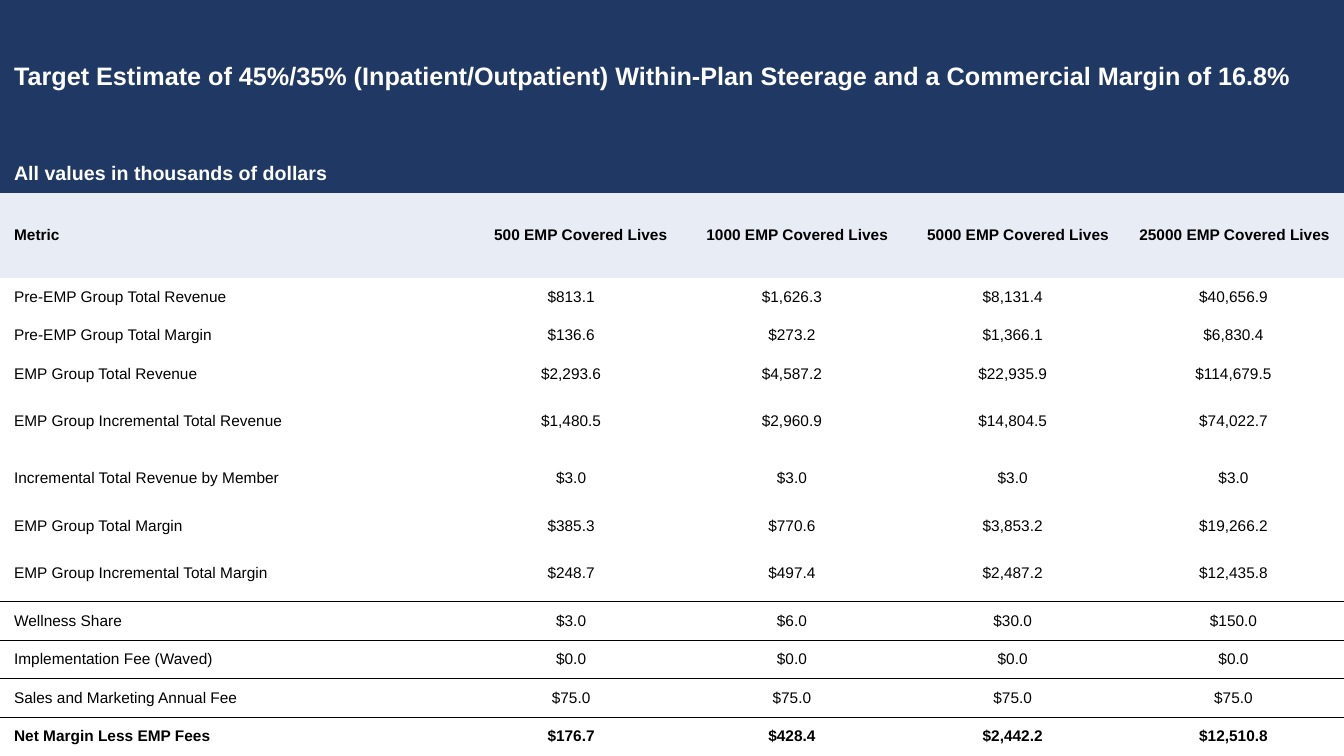
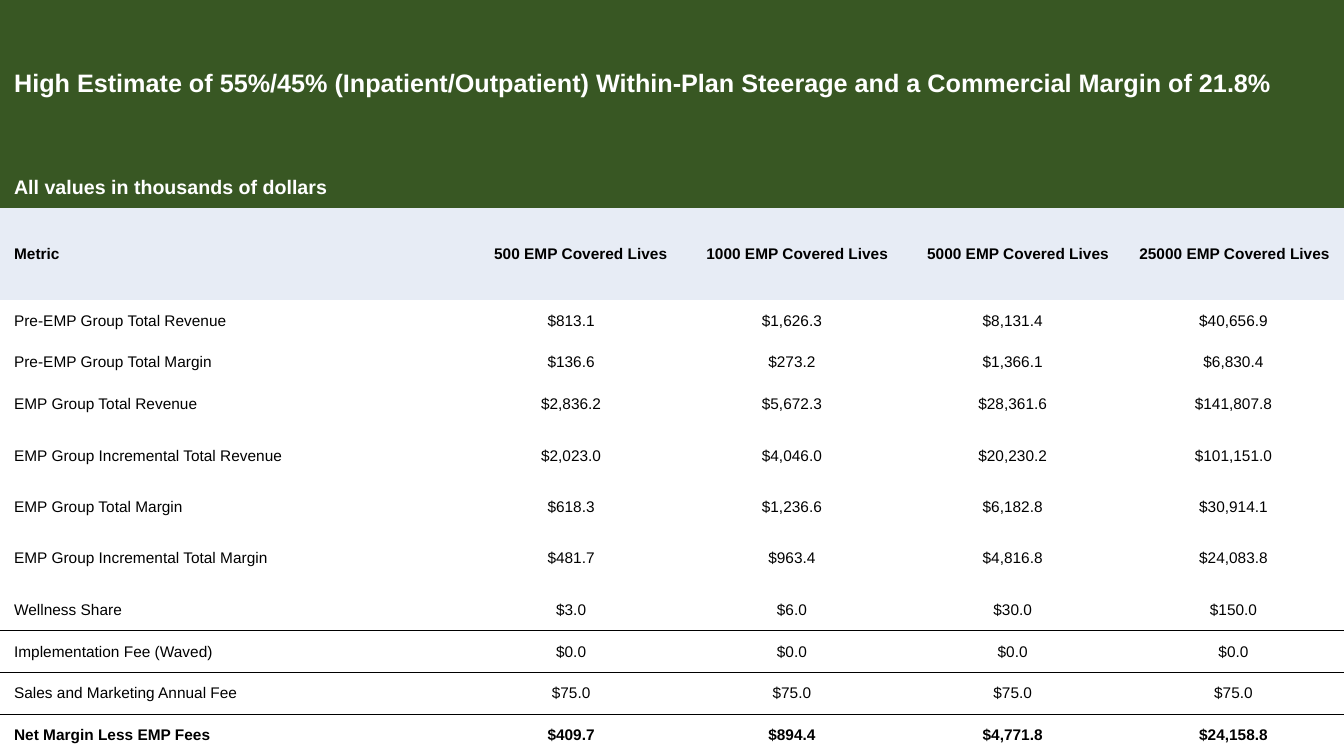
from lxml import etree
from pptx import Presentation
from pptx.dml.color import RGBColor
from pptx.enum.text import MSO_ANCHOR, PP_ALIGN
from pptx.oxml.ns import qn
from pptx.util import Inches, Pt

LEFT, CENTER, RIGHT = PP_ALIGN.LEFT, PP_ALIGN.CENTER, PP_ALIGN.RIGHT
MIDDLE = MSO_ANCHOR.MIDDLE

WIDTH, HEIGHT = 13.33, 7.5
COL_WIDTHS = [4.57, 2.19, 2.19, 2.19, 2.19]
PLAIN_TABLE = "{2D5ABB26-0587-4C30-8999-92F81FD0307C}"
NAVY, GREEN, PALE, WHITE, BLACK = "203864", "385723", "E7ECF5", "FFFFFF", "000000"

TITLE = {"name": "Arial", "size": Pt(18), "bold": True}
SUBTITLE = {**TITLE, "size": Pt(14)}
STRONG = {**TITLE, "size": Pt(11)}
BODY = {**STRONG, "bold": False}

TITLE_UNITS, HEADER_UNITS, TALL_UNITS = 4, 2.2, 1.47
TALL_ROWS = {
    "EMP Group Incremental Total Revenue",
    "Incremental Total Revenue by Member",
    "EMP Group Incremental Total Margin",
}
UNITS_NOTE = "All values in thousands of dollars"
HEADER = ["Metric"] + [f"{n} EMP Covered Lives" for n in (500, 1000, 5000, 25000)]
BASELINE = [
    ["Pre-EMP Group Total Revenue", 813.1, 1626.3, 8131.4, 40656.9],
    ["Pre-EMP Group Total Margin", 136.6, 273.2, 1366.1, 6830.4],
]
FEES = [
    ["Wellness Share", 3, 6, 30, 150],
    ["Implementation Fee (Waved)", 0, 0, 0, 0],
    ["Sales and Marketing Annual Fee", 75, 75, 75, 75],
]
TARGET = {
    "title": "Target Estimate of 45%/35% (Inpatient/Outpatient) Within-Plan Steerage "
             "and a Commercial Margin of 16.8%",
    "color": NAVY,
    "group": [
        ["EMP Group Total Revenue", 2293.6, 4587.2, 22935.9, 114679.5],
        ["EMP Group Incremental Total Revenue", 1480.5, 2960.9, 14804.5, 74022.7],
        ["Incremental Total Revenue by Member", 3, 3, 3, 3],
        ["EMP Group Total Margin", 385.3, 770.6, 3853.2, 19266.2],
        ["EMP Group Incremental Total Margin", 248.7, 497.4, 2487.2, 12435.8],
    ],
    "net": ["Net Margin Less EMP Fees", 176.7, 428.4, 2442.2, 12510.8],
    "ruled": ["EMP Group Incremental Total Margin", "Implementation Fee (Waved)"],
}
HIGH = {
    "title": "High Estimate of 55%/45% (Inpatient/Outpatient) Within-Plan Steerage "
             "and a Commercial Margin of 21.8%",
    "color": GREEN,
    "group": [
        ["EMP Group Total Revenue", 2836.2, 5672.3, 28361.6, 141807.8],
        ["EMP Group Incremental Total Revenue", 2023, 4046, 20230.2, 101151],
        ["EMP Group Total Margin", 618.3, 1236.6, 6182.8, 30914.1],
        ["EMP Group Incremental Total Margin", 481.7, 963.4, 4816.8, 24083.8],
    ],
    "net": ["Net Margin Less EMP Fees", 409.7, 894.4, 4771.8, 24158.8],
    "ruled": ["Wellness Share", "Sales and Marketing Annual Fee"],
}


def rgb(value):
    """Return the colour for a hex string."""
    return RGBColor.from_string(value)


def write_cell(cell, text, style, color=BLACK, fill=None, align=LEFT):
    """Fill and format one table cell."""
    margins = {"margin_left": 0.14, "margin_right": 0.14, "margin_top": 0, "margin_bottom": 0}
    for name, value in margins.items():
        setattr(cell, name, Inches(value))
    cell.vertical_anchor = MIDDLE
    if fill:
        cell.fill.solid()
        cell.fill.fore_color.rgb = rgb(fill)
    else:
        cell.fill.background()
    p = cell.text_frame.paragraphs[0]
    p.alignment = align
    r = p.add_run()
    r.text = text
    for name, value in style.items():
        setattr(r.font, name, value)
    r.font.color.rgb = rgb(color)


def add_border(cell, side):
    """Draw a black one-point line on one side of a cell."""
    ln = etree.Element(qn(f"a:ln{side}"), w=str(Pt(1)))
    fill = etree.SubElement(ln, qn("a:solidFill"))
    etree.SubElement(fill, qn("a:srgbClr"), val=BLACK)
    cell._tc.get_or_add_tcPr().insert(0, ln)


def write_band(table, row, text, style, fill):
    """Write a coloured band across a whole row."""
    table.cell(row, 0).merge(table.cell(row, len(COL_WIDTHS) - 1))
    write_cell(table.cell(row, 0), text, style, WHITE, fill)


def add_table(s, units):
    """Add a plain table whose rows share the slide height by units."""
    frame = s.shapes.add_table(len(units), len(COL_WIDTHS), 0, 0, Inches(WIDTH), Inches(HEIGHT))
    table = frame.table
    table.first_row = table.horz_banding = False
    table._tbl.tblPr.find(qn("a:tableStyleId")).text = PLAIN_TABLE
    for column, width in zip(table.columns, COL_WIDTHS):
        column.width = Inches(width)
    for row, unit in zip(table.rows, units):
        row.height = Inches(HEIGHT * unit / sum(units))
    return table


def add_estimate_slide(prs, estimate):
    """Add a slide with the margin table of one estimate."""
    s = prs.slides.add_slide(prs.slide_layouts[6])
    rows = BASELINE + estimate["group"] + FEES + [estimate["net"]]
    units = [TITLE_UNITS, 1, HEADER_UNITS]
    units += [TALL_UNITS if label in TALL_ROWS else 1 for label, *_ in rows]
    table = add_table(s, units)
    write_band(table, 0, estimate["title"], TITLE, estimate["color"])
    write_band(table, 1, UNITS_NOTE, SUBTITLE, estimate["color"])
    for col, text in enumerate(HEADER):
        write_cell(table.cell(2, col), text, STRONG, fill=PALE, align=RIGHT if col else LEFT)
    for row, (label, *values) in enumerate(rows, 3):
        style = STRONG if label == estimate["net"][0] else BODY
        write_cell(table.cell(row, 0), label, style)
        for col, value in enumerate(values, 1):
            write_cell(table.cell(row, col), f"${value:,.1f}", style, align=CENTER)
        if label in estimate["ruled"]:
            for col in range(len(COL_WIDTHS)):
                add_border(table.cell(row, col), "B")
                add_border(table.cell(row + 1, col), "T")


def main():
    """Build and save the presentation."""
    prs = Presentation()
    prs.slide_width, prs.slide_height = Inches(WIDTH), Inches(HEIGHT)
    for estimate in (TARGET, HIGH):
        add_estimate_slide(prs, estimate)
    prs.save("out.pptx")


if __name__ == "__main__":
    main()
